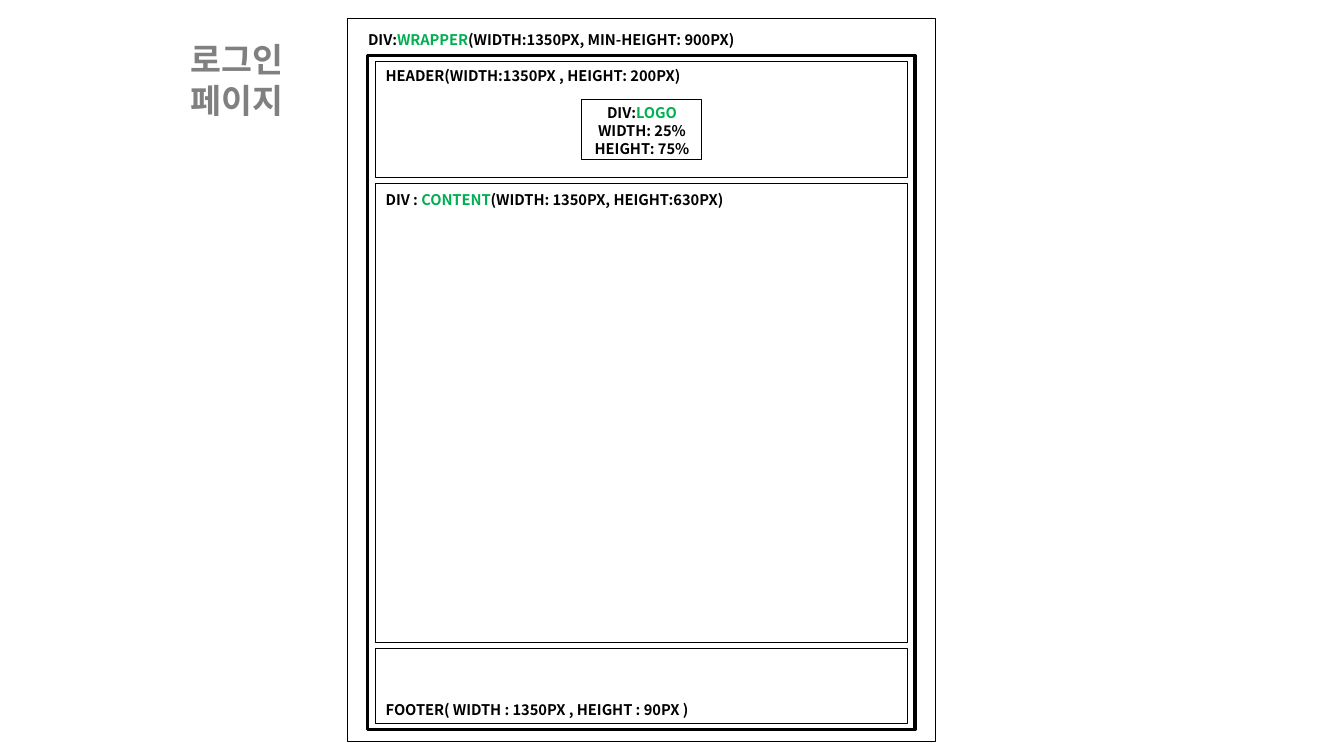
from pptx import Presentation, util as u
from pptx.dml.color import RGBColor
from pptx.enum import shapes, text
from pptx.oxml import ns
from lxml import etree

BLACK = RGBColor(0x00, 0x00, 0x00)
GREEN = RGBColor(0x00, 0xB0, 0x50)
GRAY = RGBColor(0x80, 0x80, 0x80)
FONT = "Noto Sans CJK KR"
LEADING = 1.22

SECTION_LEFT, SECTION_WIDTH = 9.47, 13.39
HEADER_TOP, CONTENT_TOP, FOOTER_TOP = 1.55, 4.62, 16.33

LEFT, CENTER = text.PP_ALIGN.LEFT, text.PP_ALIGN.CENTER
LABEL = {"size": u.Pt(10.5), "bold": True, "name": FONT}
TITLE = {"size": u.Pt(24), "bold": True, "name": FONT}
FIT = {"word_wrap": False, "auto_size": text.MSO_AUTO_SIZE.SHAPE_TO_FIT_TEXT}
MIDDLE = {"word_wrap": True, "vertical_anchor": text.MSO_ANCHOR.MIDDLE}


def apply(target, values):
    """Set each attribute named in values on target."""
    for name, value in values.items():
        setattr(target, name, value)


def write_lines(frame, lines, style, align):
    """Fill a text frame with lines, each a list of (wording, colour)."""
    for index, line in enumerate(lines):
        paragraph = frame.add_paragraph() if index else frame.paragraphs[0]
        apply(paragraph, {"alignment": align,
                          "line_spacing": u.Pt(style["size"].pt * LEADING)})
        for wording, colour in line:
            run = paragraph.add_run()
            run.text = wording
            apply(run.font, style)
            run.font.color.rgb = colour
            east_asian = etree.SubElement(run.font._element, ns.qn("a:ea"))
            east_asian.set("typeface", FONT)


def add_frame(slide, box, weight):
    """Draw an unfilled black outline, box in cm and weight in points."""
    frame = slide.shapes.add_shape(shapes.MSO_SHAPE.RECTANGLE, *map(u.Cm, box))
    frame.shadow.inherit = False
    frame.fill.background()
    frame.line.color.rgb = BLACK
    frame.line.width = u.Pt(weight)


def add_label(slide, box, lines, style=LABEL, align=LEFT):
    """Place an unwrapped text box."""
    label = slide.shapes.add_textbox(*map(u.Cm, box))
    apply(label.text_frame, FIT)
    write_lines(label.text_frame, lines, style, align)


def add_process_label(slide, box, lines):
    """Place centred text in a process shape without fill or outline."""
    process = slide.shapes.add_shape(
        shapes.MSO_SHAPE.FLOWCHART_PROCESS, *map(u.Cm, box))
    process.shadow.inherit = False
    process.fill.background()
    process.line.fill.background()
    apply(process.text_frame, MIDDLE)
    write_lines(process.text_frame, lines, LABEL, CENTER)


def main():
    """Build the login page layout slide."""
    deck = Presentation()
    apply(deck, {"slide_width": u.Cm(33.87), "slide_height": u.Cm(19.05)})
    slide = deck.slides.add_slide(deck.slide_layouts[6])

    add_frame(slide, (8.76, 0.46, 14.81, 18.21), 0.25)
    add_frame(slide, (9.27, 1.4, 13.79, 16.99), 2.25)
    for top, height, weight in ((HEADER_TOP, 2.92, 0.5),
                                (CONTENT_TOP, 11.56, 0.75),
                                (FOOTER_TOP, 1.9, 0.5)):
        add_frame(slide, (SECTION_LEFT, top, SECTION_WIDTH, height), weight)
    add_frame(slide, (14.66, 2.51, 3.02, 1.5), 0.75)

    add_label(slide, (4.55, 0.84, 3.07, 2.31),
              [[("로그인", GRAY)], [("페이지", GRAY)]], TITLE)
    add_process_label(slide, (8.51, 0.51, 10.77, 0.99), [
        [("DIV:", BLACK), ("WRAPPER", GREEN),
         ("(WIDTH:1350PX, MIN-HEIGHT: 900PX)", BLACK)]])
    add_label(slide, (SECTION_LEFT, HEADER_TOP, 8.1, 0.71),
              [[("HEADER(WIDTH:1350PX , HEIGHT: 200PX)", BLACK)]])
    add_label(slide, (14.73, 2.49, 2.9, 1.6), [
        [("DIV:", BLACK), ("LOGO", GREEN)],
        [("WIDTH: 25%", BLACK)],
        [("HEIGHT: 75%", BLACK)]], align=CENTER)
    add_label(slide, (SECTION_LEFT, 4.67, 9.27, 0.71), [
        [("DIV : ", BLACK), ("CONTENT", GREEN),
         ("(WIDTH: 1350PX, HEIGHT:630PX)", BLACK)]])
    add_label(slide, (SECTION_LEFT, 17.53, 8.84, 0.74),
              [[("FOOTER( WIDTH : 1350PX , HEIGHT : 90PX )", BLACK)]])
    deck.save("out.pptx")


main()
